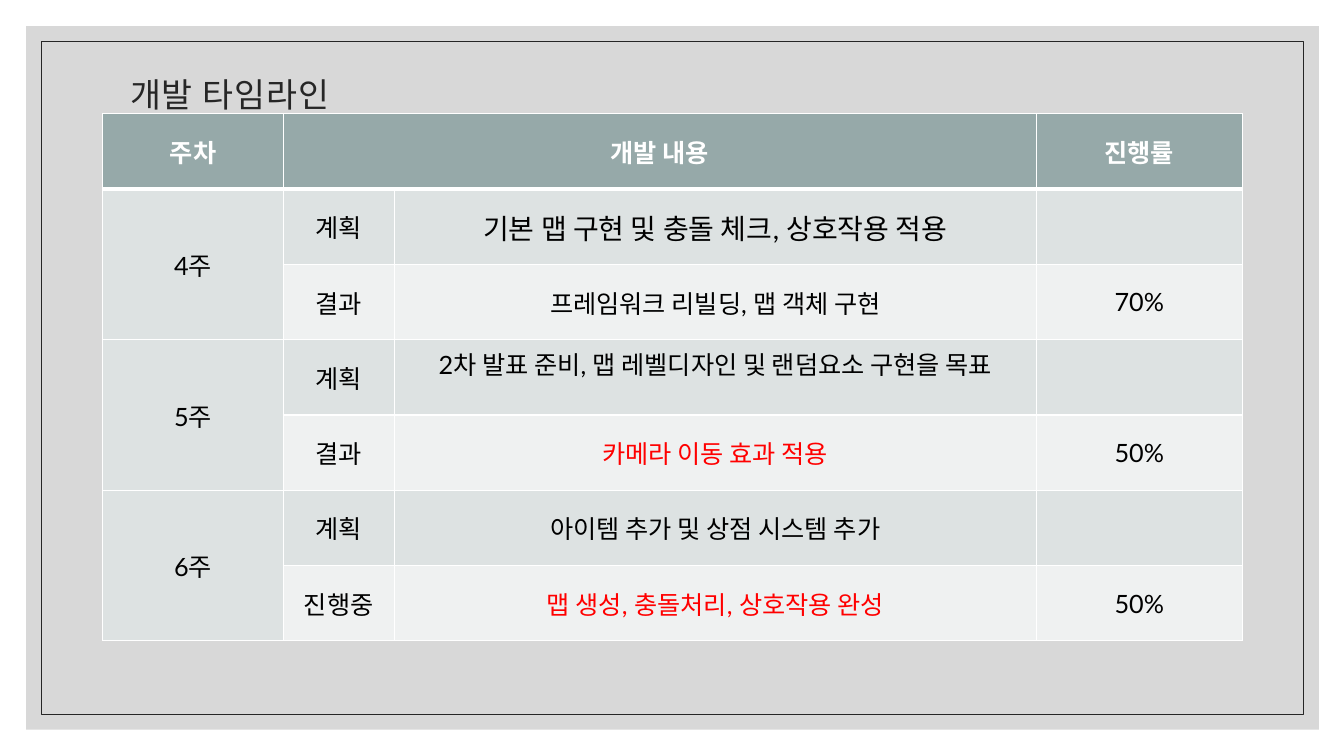
from lxml import etree
from pptx import Presentation
from pptx import util as u
from pptx.dml.color import RGBColor
from pptx.enum import shapes, text
from pptx.oxml.ns import qn

COLORS = {
    "white": "FFFFFF", "panel": "BFBFBF", "ink": "262626", "black": "000000",
    "red": "FF0000", "header": "96A9A9", "plan": "DDE2E2", "result": "EFF1F1",
}
COLUMN_WIDTHS = [1.79, 1.1, 6.37, 2.04]
ROW_HEIGHT = 5.23 / 7
WEEKS = [
    ("4주", "기본 맵 구현 및 충돌 체크, 상호작용 적용",
     "결과", "프레임워크 리빌딩, 맵 객체 구현", "black", "70%"),
    ("5주", "2차 발표 준비, 맵 레벨디자인 및 랜덤요소 구현을 목표",
     "결과", "카메라 이동 효과 적용", "red", "50%"),
    ("6주", "아이템 추가 및 상점 시스템 추가",
     "진행중", "맵 생성, 충돌처리, 상호작용 완성", "red", "50%"),
]


def color(name):
    return RGBColor.from_string(COLORS[name])


class TimelineSlide:
    font = "Lato"

    def __init__(self, deck):
        self.page = deck.slides.add_slide(deck.slide_layouts[6])

    def rectangle(self, left, top, width, height, fill=None, opacity=100, line=None):
        box = self.page.shapes.add_shape(
            shapes.MSO_SHAPE.RECTANGLE,
            u.Inches(left), u.Inches(top), u.Inches(width), u.Inches(height))
        box.shadow.inherit = False
        if fill:
            box.fill.solid()
            box.fill.fore_color.rgb = color(fill)
            tint = box.fill._xPr.find(qn("a:solidFill"))[0]
            etree.SubElement(tint, qn("a:alpha"), val=str(opacity * 1000))
        else:
            box.fill.background()
        if line:
            box.line.color.rgb = color(line)
            box.line.width = u.Pt(0.5)
        else:
            box.line.fill.background()

    def add_span(self, para, words, size, ink, bold=False):
        span = para.add_run()
        span.text = words
        span.font.name = self.font
        span.font.size = u.Pt(size)
        span.font.bold = bold
        span.font.color.rgb = color(ink)
        return span

    def title(self, words, left, top, width, height):
        box = self.page.shapes.add_textbox(
            u.Inches(left), u.Inches(top), u.Inches(width), u.Inches(height))
        frame = box.text_frame
        frame.word_wrap = True
        frame.vertical_anchor = text.MSO_ANCHOR.MIDDLE
        frame.margin_left = frame.margin_right = frame.margin_top = u.Inches(0.12)
        frame.margin_bottom = u.Inches(0.1)
        para = frame.paragraphs[0]
        para.line_spacing = 1.05
        span = self.add_span(para, words, 24, "ink")
        span.font._element.set("spc", "70")

    def table(self, left, top, rows):
        frame = self.page.shapes.add_table(
            rows, len(COLUMN_WIDTHS), u.Inches(left), u.Inches(top),
            u.Inches(sum(COLUMN_WIDTHS)), u.Inches(ROW_HEIGHT * rows))
        grid = frame.table
        for column, width in zip(grid.columns, COLUMN_WIDTHS):
            column.width = u.Inches(width)
        for row in grid.rows:
            row.height = u.Inches(ROW_HEIGHT)
        return grid

    def cell(self, grid, row, column, words, fill, ink="black", size=18):
        cell = grid.cell(row, column)
        cell.fill.solid()
        cell.fill.fore_color.rgb = color(fill)
        cell.vertical_anchor = text.MSO_ANCHOR.MIDDLE
        self.borders(cell, top=3 if row == 1 else 1, bottom=3 if row == 0 else 1)
        para = cell.text_frame.paragraphs[0]
        para.alignment = text.PP_ALIGN.CENTER
        if words:
            self.add_span(para, words, size, ink, bold=row == 0)

    def borders(self, cell, top, bottom):
        properties = cell._tc.get_or_add_tcPr()
        sides = [("lnL", 1), ("lnR", 1), ("lnT", top), ("lnB", bottom)]
        for index, (side, width) in enumerate(sides):
            line = etree.Element(qn("a:" + side), w=str(u.Pt(width)))
            paint = etree.SubElement(line, qn("a:solidFill"))
            etree.SubElement(paint, qn("a:srgbClr"), val=COLORS["white"])
            properties.insert(index, line)


def main():
    deck = Presentation()
    deck.slide_width, deck.slide_height = u.Inches(13.33), u.Inches(7.5)
    slide = TimelineSlide(deck)
    slide.rectangle(0.26, 0.26, 12.82, 6.98, fill="panel", opacity=60)
    slide.rectangle(0.41, 0.41, 12.52, 6.68, line="ink")
    slide.title("개발 타임라인", 1.17, 0.7, 11, 0.42)

    grid = slide.table(1.02, 1.13, 1 + 2 * len(WEEKS))
    for column, words in enumerate(["주차", "개발 내용", "", "진행률"]):
        slide.cell(grid, 0, column, words, "header", "white")
    grid.cell(0, 1).merge(grid.cell(0, 2))

    for index, (week, plan, status, result, ink, progress) in enumerate(WEEKS):
        row = 1 + 2 * index
        slide.cell(grid, row, 0, week, "plan")
        slide.cell(grid, row + 1, 0, "", "plan")
        grid.cell(row, 0).merge(grid.cell(row + 1, 0))
        slide.cell(grid, row, 1, "계획", "plan")
        slide.cell(grid, row, 2, plan, "plan", size=20 if index == 0 else 18)
        slide.cell(grid, row, 3, "", "plan")
        slide.cell(grid, row + 1, 1, status, "result")
        slide.cell(grid, row + 1, 2, result, "result", ink)
        slide.cell(grid, row + 1, 3, progress, "result")
    grid.cell(3, 2).margin_bottom = u.Inches(0.35)

    deck.save("out.pptx")


if __name__ == "__main__":
    main()
